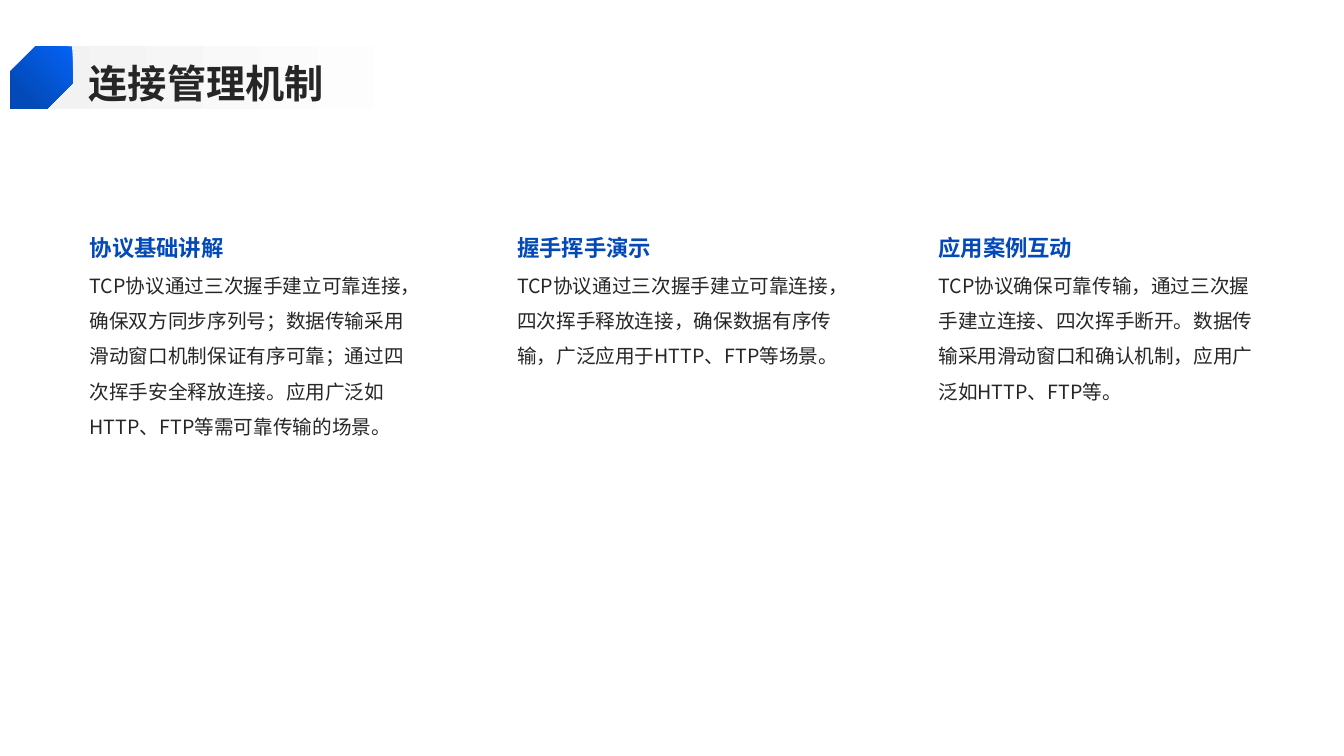
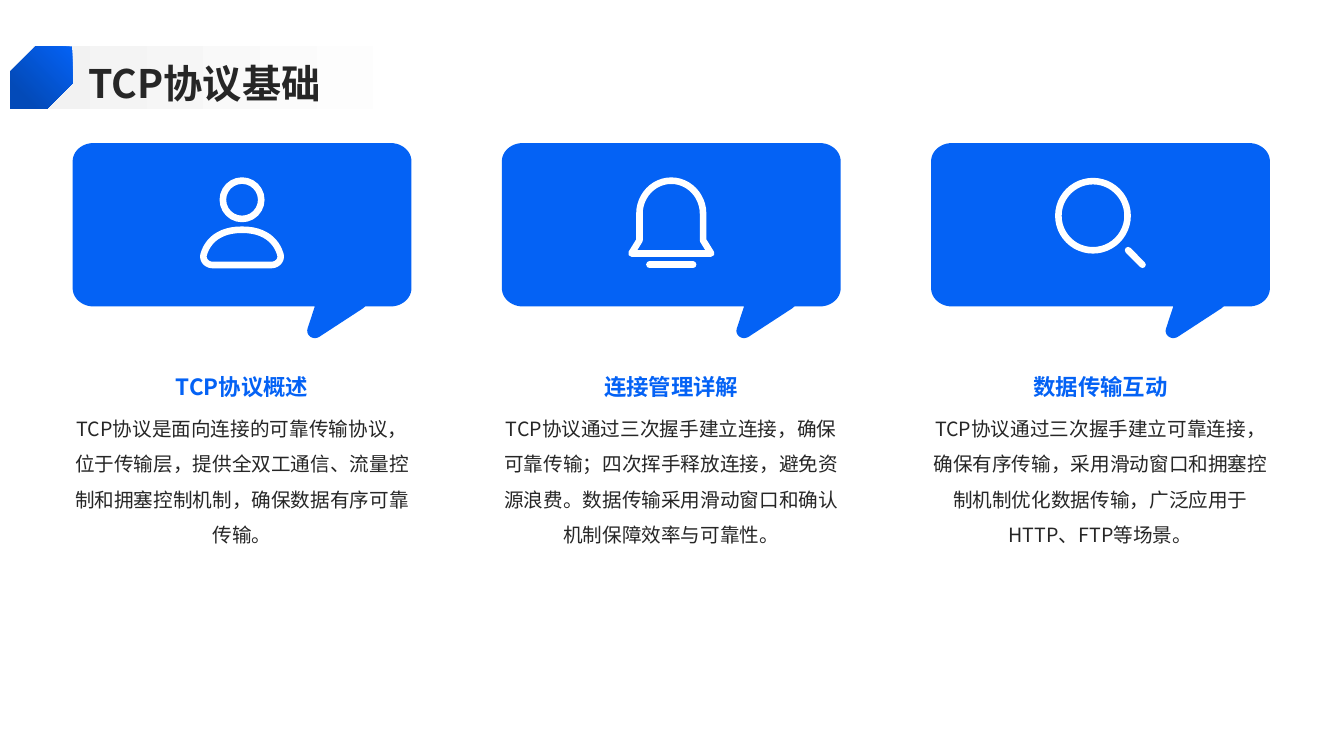
from pptx import Presentation
from pptx.dml.color import RGBColor
from pptx.enum.shapes import MSO_CONNECTOR, MSO_SHAPE
from pptx.enum.text import MSO_ANCHOR as ANCHOR, PP_ALIGN as ALIGN
from pptx.oxml.xmlchemy import OxmlElement
from pptx.util import Pt

FONT = "Noto Sans CJK SC"
INK, BLUE, NAVY, DEEP = "262626", "0462F5", "034AB8", "0349B8"
WHITE, GREY = "FFFFFF", "F2F2F2"
STROKE = 4.7
CURVE_STEPS = 12


def rgb(value):
    """Turn a hex string into a colour."""
    return RGBColor.from_string(value)


def add_text(slide, text, box, size=14, color=INK, bold=False, spacing=1.5,
             align=ALIGN.LEFT, anchor=ANCHOR.TOP):
    """Add a one-paragraph text box without insets."""
    tf = slide.shapes.add_textbox(*map(Pt, box)).text_frame
    tf.word_wrap = True
    tf.vertical_anchor = anchor
    tf.margin_left = tf.margin_top = tf.margin_right = tf.margin_bottom = 0
    p = tf.paragraphs[0]
    p.alignment = align
    p.line_spacing = spacing
    r = p.add_run()
    r.text = text
    r.font.size = Pt(size)
    r.font.bold = bold
    r.font.color.rgb = rgb(color)
    r.font.name = FONT
    ea = OxmlElement("a:ea")
    ea.set("typeface", FONT)
    r.font._element.append(ea)


def gradient_shape(slide, kind, box, colors, angle=0):
    """Add a borderless shape that fades between two colours."""
    s = slide.shapes.add_shape(kind, *map(Pt, box))
    s.shadow.inherit = False
    s.line.fill.background()
    s.fill.gradient()
    s.fill.gradient_angle = angle
    for stop, color, position in zip(s.fill.gradient_stops, colors, (0, 0.8)):
        stop.color.rgb = rgb(color)
        stop.position = position
    return s


def add_title(slide, text):
    """Place the title band, its text and the snipped marker."""
    top, height = 33.1, 44.6
    gradient_shape(slide, MSO_SHAPE.RECTANGLE, (23.8, top, 354.2, height), (GREY, WHITE))
    add_text(slide, text, (63.4, top + 5.8, 855.4, 36.7), size=28, bold=True,
             spacing=1.1, anchor=ANCHOR.MIDDLE)
    s = gradient_shape(slide, MSO_SHAPE.SNIP_2_DIAG_RECTANGLE,
                       (7.2, top, 44.6, height), (BLUE, NAVY), 315)
    s.adjustments[0], s.adjustments[1] = 0, 0.408
    s._element.spPr.xfrm.set("flipH", "1")


def trace(start, segments):
    """List the points along lines (2 numbers) and Bezier curves (6 numbers)."""
    points = [start]
    for seg in segments:
        if len(seg) == 2:
            points.append(seg)
            continue
        knots = [points[-1], seg[:2], seg[2:4], seg[4:]]
        for i in range(1, CURVE_STEPS + 1):
            t = i / CURVE_STEPS
            weights = ((1 - t) ** 3, 3 * t * (1 - t) ** 2, 3 * t * t * (1 - t), t ** 3)
            points.append(tuple(sum(w * k[axis] for w, k in zip(weights, knots))
                                for axis in (0, 1)))
    return points


def add_outline(slide, x, y, points):
    """Add a closed freeform whose points are relative to x, y."""
    (x0, y0), *rest = [(Pt(x + dx), Pt(y + dy)) for dx, dy in points]
    builder = slide.shapes.build_freeform(x0, y0)
    builder.add_line_segments(rest, close=True)
    s = builder.convert_to_shape()
    s.shadow.inherit = False
    return s


def white_stroke(s):
    """Give a shape or connector a round white line."""
    s.line.color.rgb = rgb(WHITE)
    s.line.width = Pt(STROKE)
    ln = s.line._get_or_add_ln()
    ln.set("cap", "rnd")
    ln.append(OxmlElement("a:round"))


def stroke_outline(slide, x, y, half):
    """Stroke the right half of an outline together with its mirror image."""
    s = add_outline(slide, x, y, half + [(-dx, dy) for dx, dy in reversed(half)])
    s.fill.background()
    white_stroke(s)


def stroke_ring(slide, x, y, radius):
    """Stroke a circle around x, y."""
    s = slide.shapes.add_shape(MSO_SHAPE.OVAL, Pt(x - radius), Pt(y - radius),
                               Pt(2 * radius), Pt(2 * radius))
    s.shadow.inherit = False
    s.fill.background()
    white_stroke(s)


def stroke_line(slide, *ends):
    """Stroke a straight line."""
    s = slide.shapes.add_connector(MSO_CONNECTOR.STRAIGHT, *map(Pt, ends))
    white_stroke(s)
    s._element.spPr.append(OxmlElement("a:effectLst"))


def person_icon(slide, x, y):
    """Draw a head and shoulders below the top centre x, y."""
    stroke_ring(slide, x, y + 16, 13.7)
    stroke_outline(slide, x, y, trace((0, 37.4), [
        (16.5, 37.4, 24.5, 45.5, 27.3, 54.8), (28.6, 59, 25.2, 62.6, 20.9, 62.6)]))


def bell_icon(slide, x, y):
    """Draw a bell below the top centre x, y."""
    stroke_outline(slide, x, y, trace((0, 2.4), [
        (12.5, 2.4, 22.7, 13, 22.7, 25.9), (22.7, 45), (28.5, 54.4)]))
    stroke_line(slide, x - 15.6, y + 62.4, x + 15.6, y + 62.4)


def search_icon(slide, x, y):
    """Draw a magnifier below the top centre x, y."""
    stroke_ring(slide, x - 5.4, y + 27.4, 24.7)
    stroke_line(slide, x + 19.7, y + 52, x + 30, y + 62.4)


def add_bubble(slide, x, y, width, icon):
    """Draw a speech bubble with an icon in it."""
    base, rx, ry = 116.7, 15, 13
    s = add_outline(slide, x, y, trace((rx, 0), [
        (6.5, 0, 0, 6, 0, ry), (0, base - ry), (0, base - 6, 6.5, base, rx, base),
        (173, base), (167.8, 132.5), (166.3, 137.5, 172, 141.3, 176.5, 138.2),
        (207.5, 118), (209, base), (width - rx, base),
        (width - 6.5, base, width, base - 6, width, base - ry),
        (width, ry), (width, 6, width - 6.5, 0, width - rx, 0)]))
    s.fill.solid()
    s.fill.fore_color.rgb = rgb(BLUE)
    s.line.fill.background()
    icon(slide, x + width / 2, y + 24.5)


def text_column(slide, x, y, width, heading, body):
    """Place a left-aligned heading over its paragraph."""
    add_text(slide, heading, (x, y, width, 28), size=16, color=DEEP, bold=True,
             spacing=1.1, anchor=ANCHOR.MIDDLE)
    add_text(slide, body, (x, y + 25.2, width, 270))


def bubble_column(slide, x, y, width, icon, heading, body):
    """Place a bubble with a centred heading and paragraph below."""
    add_bubble(slide, x, y, width, icon)
    add_text(slide, heading, (x, y + 149, width, 34.6), size=16, color=BLUE, bold=True,
             spacing=1.3, align=ALIGN.CENTER, anchor=ANCHOR.BOTTOM)
    add_text(slide, body, (x, y + 187.2, width, 198), align=ALIGN.CENTER)


def new_slide(prs, title):
    """Add a blank slide with the shared title."""
    slide = prs.slides.add_slide(prs.slide_layouts[6])
    add_title(slide, title)
    return slide


def connection_slide(prs):
    """Build the slide with three text columns."""
    slide = new_slide(prs, "连接管理机制")
    columns = [
        (64.1, "协议基础讲解", "TCP协议通过三次握手建立可靠连接，确保双方同步序列号；数据传输采用滑动窗口机制保证有序可靠；通过四次挥手安全释放连接。应用广泛如HTTP、FTP等需可靠传输的场景。"),
        (369.4, "握手挥手演示", "TCP协议通过三次握手建立可靠连接，四次挥手释放连接，确保数据有序传输，广泛应用于HTTP、FTP等场景。"),
        (670.3, "应用案例互动", "TCP协议确保可靠传输，通过三次握手建立连接、四次挥手断开。数据传输采用滑动窗口和确认机制，应用广泛如HTTP、FTP等。"),
    ]
    for x, heading, body in columns:
        text_column(slide, x, 162, 234.7, heading, body)


def basics_slide(prs):
    """Build the slide with three speech bubbles."""
    slide = new_slide(prs, "TCP协议基础")
    columns = [
        (person_icon, "TCP协议概述", "TCP协议是面向连接的可靠传输协议，位于传输层，提供全双工通信、流量控制和拥塞控制机制，确保数据有序可靠传输。"),
        (bell_icon, "连接管理详解", "TCP协议通过三次握手建立连接，确保可靠传输；四次挥手释放连接，避免资源浪费。数据传输采用滑动窗口和确认机制保障效率与可靠性。"),
        (search_icon, "数据传输互动", "TCP协议通过三次握手建立可靠连接，确保有序传输，采用滑动窗口和拥塞控制机制优化数据传输，广泛应用于HTTP、FTP等场景。"),
    ]
    for i, column in enumerate(columns):
        bubble_column(slide, 51.9 + i * 306.6, 102.2, 242, *column)


def main():
    """Build and save the presentation."""
    prs = Presentation()
    prs.slide_width, prs.slide_height = Pt(960), Pt(540)
    connection_slide(prs)
    basics_slide(prs)
    prs.save("out.pptx")


if __name__ == "__main__":
    main()
